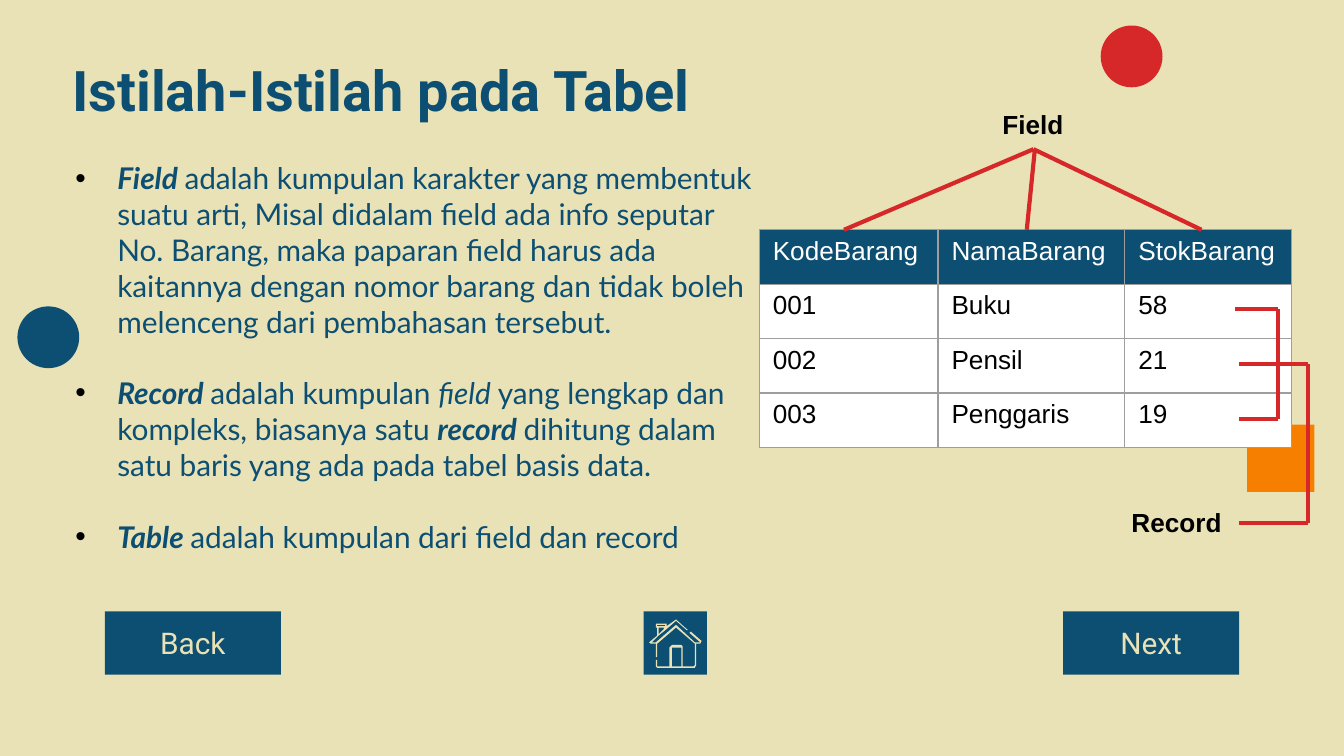
"""Build a slide that explains the field, record and table of a database."""
from itertools import pairwise

from lxml import etree
from pptx import Presentation
from pptx import util as u
from pptx.dml.color import RGBColor
from pptx.enum import shapes, text
from pptx.oxml import ns

NAVY = RGBColor(0x0C, 0x4F, 0x72)
SAND = RGBColor(0xEA, 0xE2, 0xB7)
RED = RGBColor(0xD6, 0x28, 0x28)
ORANGE = RGBColor(0xF7, 0x7F, 0x00)
GREY = RGBColor(0x9E, 0x9E, 0x9E)
WHITE = RGBColor(0xFF, 0xFF, 0xFF)
BLACK = RGBColor(0, 0, 0)

WIDE, HIGH = u.Inches(10), u.Inches(5.625)
COLS = 100
CELL = WIDE // COLS

RECT = shapes.MSO_SHAPE.RECTANGLE
OVAL = shapes.MSO_SHAPE.OVAL

TERMS = [
    [("Field ", "bi"),
     ("adalah kumpulan karakter yang membentuk suatu arti, Misal didalam "
      "field ada info seputar No. Barang, maka paparan field harus ada "
      "kaitannya dengan nomor barang dan tidak boleh melenceng dari "
      "pembahasan tersebut.", "")],
    [("Record ", "bi"), ("adalah kumpulan ", ""), ("field ", "i"),
     ("yang lengkap dan kompleks, biasanya satu ", ""), ("record ", "bi"),
     ("dihitung dalam satu baris yang ada pada tabel basis data.", "")],
    [("Table ", "bi"), ("adalah kumpulan dari field dan record", "")],
]
GOODS = [
    ("KodeBarang", "NamaBarang", "StokBarang"),
    ("001", "Buku", "58"),
    ("002", "Pensil", "21"),
    ("003", "Penggaris", "19"),
]
WIDTHS = (13.3, 13.9, 12.4)
LINKS = [
    [(62.8, 17.1), (76.9, 11.1), (89.4, 17.1)],
    [(77, 11.1), (76.4, 17.1)],
    [(91.9, 23), (95.1, 23), (95.1, 31.2), (92.2, 31.2)],
    [(92.2, 27.1), (95.1, 27.1), (97.3, 27.1), (97.3, 38.9), (92.2, 38.9)],
]
HOUSE = [
    [(49.5, 46.5), (49.5, 46.6), (48.9, 46.6), (48.9, 46.5)],
    [(49.4, 46.7), (49.4, 46.8), (49, 47.2), (49, 46.7)],
    [(50.7, 48.2), (50.7, 49.6), (50, 49.6), (50, 48.2)],
    [(50.3, 46.1), (49.6, 46.6), (49.6, 46.4), (48.8, 46.4), (48.8, 46.7),
     (48.9, 46.7), (48.9, 47.3), (48.3, 47.8), (48.4, 47.9), (48.8, 47.9),
     (48.8, 48.9), (48.9, 48.9), (48.9, 47.9), (50.3, 46.7), (51.7, 47.9),
     (51.7, 49.5), (51.6, 49.6), (50.8, 49.6), (50.8, 48.1), (50.7, 48),
     (50, 48), (49.8, 48.2), (49.8, 49.6), (48.9, 49.6), (48.9, 49.1),
     (48.8, 49.1), (48.8, 49.6), (48.9, 49.7), (51.7, 49.7), (51.8, 49.5),
     (51.8, 47.9), (52.1, 47.9), (52.2, 47.7), (51.4, 47), (51.3, 47.1),
     (52.1, 47.8), (51.7, 47.8), (50.3, 46.5), (48.8, 47.8), (48.5, 47.8),
     (49, 47.3), (49.5, 46.9), (50.3, 46.2), (51.1, 46.9), (51.2, 46.9)],
]


def grid(*spans):
    """Turn counts of grid cells into lengths."""
    return [u.Emu(round(span * CELL)) for span in spans]


def paint(shape, hue):
    """Give a shape a flat fill with no line and no shadow."""
    shape.fill.solid()
    shape.fill.fore_color.rgb = hue
    shape.line.fill.background()
    shape.shadow.inherit = False


def block(slide, kind, box, hue):
    """Add a plain preset shape."""
    shape = slide.shapes.add_shape(kind, *grid(*box))
    paint(shape, hue)
    return shape


def write(para, words, font, size, hue, style=""):
    """Add one run to a paragraph."""
    run = para.add_run()
    run.text = words
    run.font.name, run.font.size = font, u.Pt(size)
    run.font.color.rgb = hue
    run.font.bold, run.font.italic = "b" in style, "i" in style


def inset(frame, *sides):
    """Set the left, top, right and bottom margins of a text frame."""
    (frame.margin_left, frame.margin_top,
     frame.margin_right, frame.margin_bottom) = grid(*sides)


def button(slide, left, words):
    """Add a button with a centred word."""
    frame = block(slide, RECT, (left, 45.5, 13.1, 4.7), NAVY).text_frame
    inset(frame, 1, 1, 1, 1)
    frame.vertical_anchor = text.MSO_ANCHOR.MIDDLE
    para = frame.paragraphs[0]
    para.alignment = text.PP_ALIGN.CENTER
    write(para, words, "Roboto", 16, SAND)


def home(slide):
    """Add the home button with its house."""
    block(slide, RECT, (47.9, 45.5, 4.7, 4.7), NAVY)
    first, *rest = HOUSE
    pen = slide.shapes.build_freeform(*grid(*first[0]))
    pen.add_line_segments([grid(*spot) for spot in first[1:]])
    for ring in rest:
        pen.move_to(*grid(*ring[0]))
        pen.add_line_segments([grid(*spot) for spot in ring[1:]])
    paint(pen.convert_to_shape(), SAND)


def title(slide, words):
    """Add the slide title."""
    frame = slide.shapes.add_textbox(*grid(4.4, 3.1, 58.4, 6.3)).text_frame
    frame.word_wrap = True
    inset(frame, 1, 1, 1, 1)
    write(frame.paragraphs[0], words, "Roboto", 30, NAVY, "b")


def bullet(para):
    """Give a paragraph a black bullet with a hanging indent."""
    props = para._p.get_or_add_pPr()
    hang = grid(3.13)[0]
    props.set("marL", str(hang))
    props.set("indent", str(-hang))
    tint = etree.SubElement(props, ns.qn("a:buClr"))
    etree.SubElement(tint, ns.qn("a:srgbClr"), val=str(BLACK))
    etree.SubElement(props, ns.qn("a:buFont"), typeface="Arial")
    etree.SubElement(props, ns.qn("a:buChar"), char="•")


def terms(slide):
    """Add the bulleted list of terms."""
    frame = slide.shapes.add_textbox(*grid(4.4, 10.9, 52.9, 31.5)).text_frame
    frame.word_wrap = True
    inset(frame, 1.2, 1, 1, 1)
    for row, runs in enumerate(TERMS):
        para = frame.add_paragraph() if row else frame.paragraphs[0]
        bullet(para)
        if row:
            para.space_before = u.Pt(19.2)
        for words, style in runs:
            write(para, words, "Lato", 16, NAVY, style)


def border(cell):
    """Draw a thin grey line on each side of a table cell."""
    props = cell._tc.get_or_add_tcPr()
    for spot, side in enumerate(("lnL", "lnR", "lnT", "lnB")):
        line = etree.Element(ns.qn(f"a:{side}"), w=str(u.Pt(0.75)))
        fill = etree.SubElement(line, ns.qn("a:solidFill"))
        etree.SubElement(fill, ns.qn("a:srgbClr"), val=str(GREY))
        props.insert(spot, line)


def goods(slide):
    """Add the table of goods."""
    box = grid(56.5, 17.1, sum(WIDTHS), 4.05 * len(GOODS))
    table = slide.shapes.add_table(len(GOODS), len(WIDTHS), *box).table
    table.first_row = table.horz_banding = False
    for col, width in zip(table.columns, grid(*WIDTHS)):
        col.width = width
    for row, items in enumerate(GOODS):
        for col, words in enumerate(items):
            cell = table.cell(row, col)
            cell.fill.solid()
            cell.fill.fore_color.rgb = WHITE if row else NAVY
            border(cell)
            write(cell.text_frame.paragraphs[0], words, "Arial", 14,
                  BLACK if row else WHITE)


def link(slide, spots):
    """Join a row of points with red lines."""
    for start, end in pairwise(spots):
        line = slide.shapes.add_connector(
            shapes.MSO_CONNECTOR.STRAIGHT, *grid(*start, *end))
        line.line.color.rgb = RED
        line.line.width = u.Pt(2.25)
        etree.SubElement(line._element.spPr, ns.qn("a:effectLst"))


def label(slide, box, words):
    """Add a bold label beside the table."""
    frame = slide.shapes.add_textbox(*grid(*box)).text_frame
    frame.word_wrap = False
    frame.auto_size = text.MSO_AUTO_SIZE.SHAPE_TO_FIT_TEXT
    write(frame.paragraphs[0], words, "Arial", 14, BLACK, "b")


def main():
    """Build and save the slide."""
    deck = Presentation()
    deck.slide_width, deck.slide_height = WIDE, HIGH
    slide = deck.slides.add_slide(deck.slide_layouts[6])
    slide.background.fill.solid()
    slide.background.fill.fore_color.rgb = SAND
    block(slide, RECT, (92.8, 31.6, 5, 5), ORANGE)
    block(slide, OVAL, (1.3, 22.8, 4.6, 4.6), NAVY)
    block(slide, OVAL, (81.9, 1.9, 4.6, 4.6), RED)
    button(slide, 7.8, "Back")
    home(slide)
    button(slide, 79.1, "Next")
    title(slide, "Istilah-Istilah pada Tabel")
    terms(slide)
    goods(slide)
    for spots in LINKS:
        link(slide, spots)
    label(slide, (73.6, 7.6, 6.6, 3.4), "Field")
    label(slide, (83.2, 37.2, 8.8, 3.4), "Record")
    deck.save("out.pptx")


if __name__ == "__main__":
    main()
